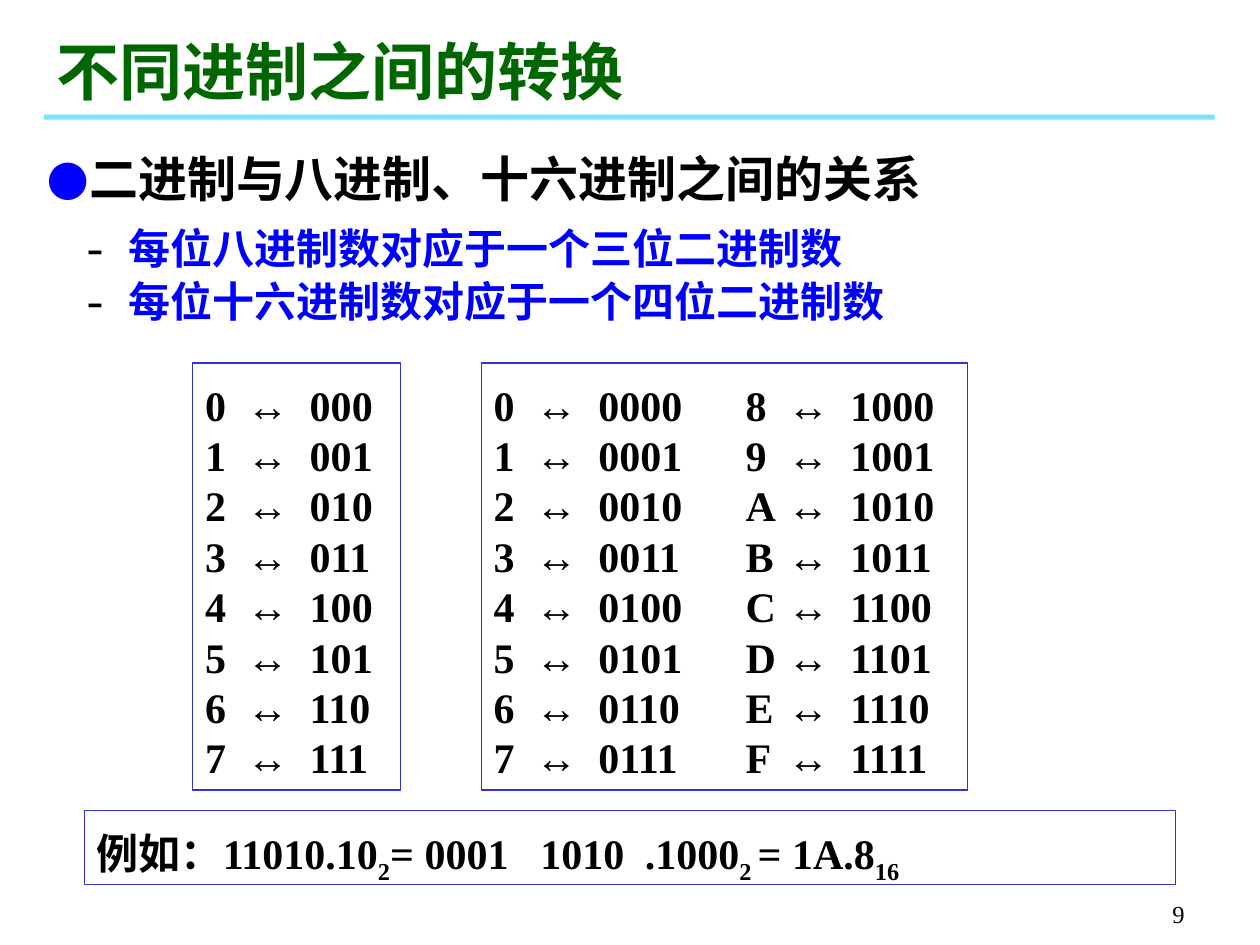
from lxml import etree
from pptx import Presentation
from pptx.dml.color import RGBColor
from pptx.enum import shapes, text
from pptx.oxml import ns
from pptx.util import Inches, Pt

BLACK = RGBColor(0x00, 0x00, 0x00)
BLUE = RGBColor(0x00, 0x00, 0xFF)
GREEN = RGBColor(0x00, 0x66, 0x00)
CYAN = RGBColor(0x00, 0xCC, 0xFF)
INDIGO = RGBColor(0x33, 0x33, 0xCC)
SERIF = "Times New Roman"
SANS = "Roboto"


def add_child(parent, tag, **attributes):
    child = etree.SubElement(parent, ns.qn(tag))
    for name, value in attributes.items():
        child.set(name, str(value))
    return child


def add_bullet(para, symbol, color, indent, scale, font):
    properties = para._p.get_or_add_pPr()
    properties.set("marL", str(Inches(indent)))
    properties.set("indent", str(-Inches(indent)))
    add_child(add_child(properties, "a:buClr"), "a:srgbClr", val=color)
    add_child(properties, "a:buSzPct", val=scale * 1000)
    add_child(properties, "a:buFont", typeface=font)
    add_child(properties, "a:buChar", char=symbol)


def add_tabs(para, stops):
    tab_list = add_child(para._p.get_or_add_pPr(), "a:tabLst")
    for stop in stops:
        add_child(tab_list, "a:tab", pos=Inches(stop), algn="l")


def write_para(para, content, size=24, color=BLACK, font=SERIF, bold=True,
               align=text.PP_ALIGN.LEFT, spacing=1.0, bullet=None, tabs=()):
    para.alignment = align
    para.line_spacing = spacing
    para.space_before = Pt(0)
    if bullet:
        add_bullet(para, **bullet)
    if tabs:
        add_tabs(para, tabs)
    spans = [(content, 0)] if isinstance(content, str) else content
    for words, baseline in spans:
        span = para.add_run()
        span.text = words
        span.font.size = Pt(size)
        span.font.name = font
        span.font.bold = bold
        span.font.color.rgb = color
        if baseline:
            span.font._element.set("baseline", str(baseline * 1000))


def write_lines(shape, lines, anchor=text.MSO_ANCHOR.TOP, first_spacing=None, **style):
    frame = shape.text_frame
    frame.word_wrap = True
    frame.vertical_anchor = anchor
    for index, line in enumerate(lines):
        para = frame.add_paragraph() if index else frame.paragraphs[0]
        changes = {"spacing": first_spacing} if first_spacing and not index else {}
        write_para(para, line, **{**style, **changes})


def add_text(page, box, lines, **style):
    write_lines(page.shapes.add_textbox(*map(Inches, box)), lines, **style)


def add_rectangle(page, box):
    shape = page.shapes.add_shape(shapes.MSO_SHAPE.RECTANGLE, *map(Inches, box))
    shape.shadow.inherit = False
    return shape


def add_frame(page, box, lines, **style):
    frame = add_rectangle(page, box)
    frame.fill.background()
    frame.line.color.rgb = INDIGO
    frame.line.width = Pt(0.75)
    write_lines(frame, lines, **style)


def add_rule(page, box):
    rule = add_rectangle(page, box)
    rule.fill.solid()
    rule.fill.fore_color.rgb = CYAN
    rule.line.fill.background()
    color = rule._element.spPr.find(ns.qn("a:solidFill"))[0]
    add_child(color, "a:alpha", val=53000)


def add_conversion(page, box, digits, bits, rows=8):
    pairs = [f"{digit}\t↔\t{value:0{bits}b}" for value, digit in enumerate(digits)]
    columns = [pairs[start:start + rows] for start in range(0, len(pairs), rows)]
    lines = ["\t".join(row) for row in zip(*columns)]
    stops = [2 * column + offset for column in range(len(columns))
             for offset in (0, 0.33, 0.83)][1:]
    add_frame(page, box, lines, first_spacing=1.2, tabs=stops)


def add_example(page, box):
    spans = [("例如：11010.10", 0), ("2", -25), ("= 0001\t1010\t.1000", 0),
             ("2 ", -25), ("= 1A.8", 0), ("16", -25)]
    add_frame(page, box, [spans], spacing=1.2, tabs=(3.52, 4.35))


def add_points(page, heading_box, list_box):
    disc = dict(symbol="●", color=BLUE, indent=0.34, scale=100, font=SANS)
    dash = dict(symbol="-", color=BLACK, indent=0.33, scale=117, font=SERIF)
    add_text(page, heading_box, ["二进制与八进制、十六进制之间的关系"],
             size=28, font=SANS, spacing=1.3, bullet=disc)
    add_text(page, list_box,
             ["每位八进制数对应于一个三位二进制数", "每位十六进制数对应于一个四位二进制数"],
             color=BLUE, spacing=1.05, bullet=dash)


def main():
    deck = Presentation()
    deck.slide_width, deck.slide_height = Inches(10), Inches(7.5)
    page = deck.slides.add_slide(deck.slide_layouts[6])
    add_rule(page, (0.35, 0.91, 9.29, 0.04))
    add_text(page, (7.42, 6.92, 2.08, 0.5), ["9"], size=14, bold=False,
             align=text.PP_ALIGN.RIGHT, anchor=text.MSO_ANCHOR.BOTTOM)
    add_text(page, (0.35, 0.21, 7.17, 0.7), ["不同进制之间的转换"], size=36,
             color=GREEN, anchor=text.MSO_ANCHOR.BOTTOM)
    add_points(page, (0.27, 0.99, 9.14, 0.71), (0.59, 1.7, 8.98, 1.11))
    add_conversion(page, (1.53, 2.88, 1.65, 3.39), "01234567", bits=3)
    add_conversion(page, (3.82, 2.88, 3.86, 3.39), "0123456789ABCDEF", bits=4)
    add_example(page, (0.67, 6.43, 8.66, 0.59))
    deck.save("out.pptx")


if __name__ == "__main__":
    main()
